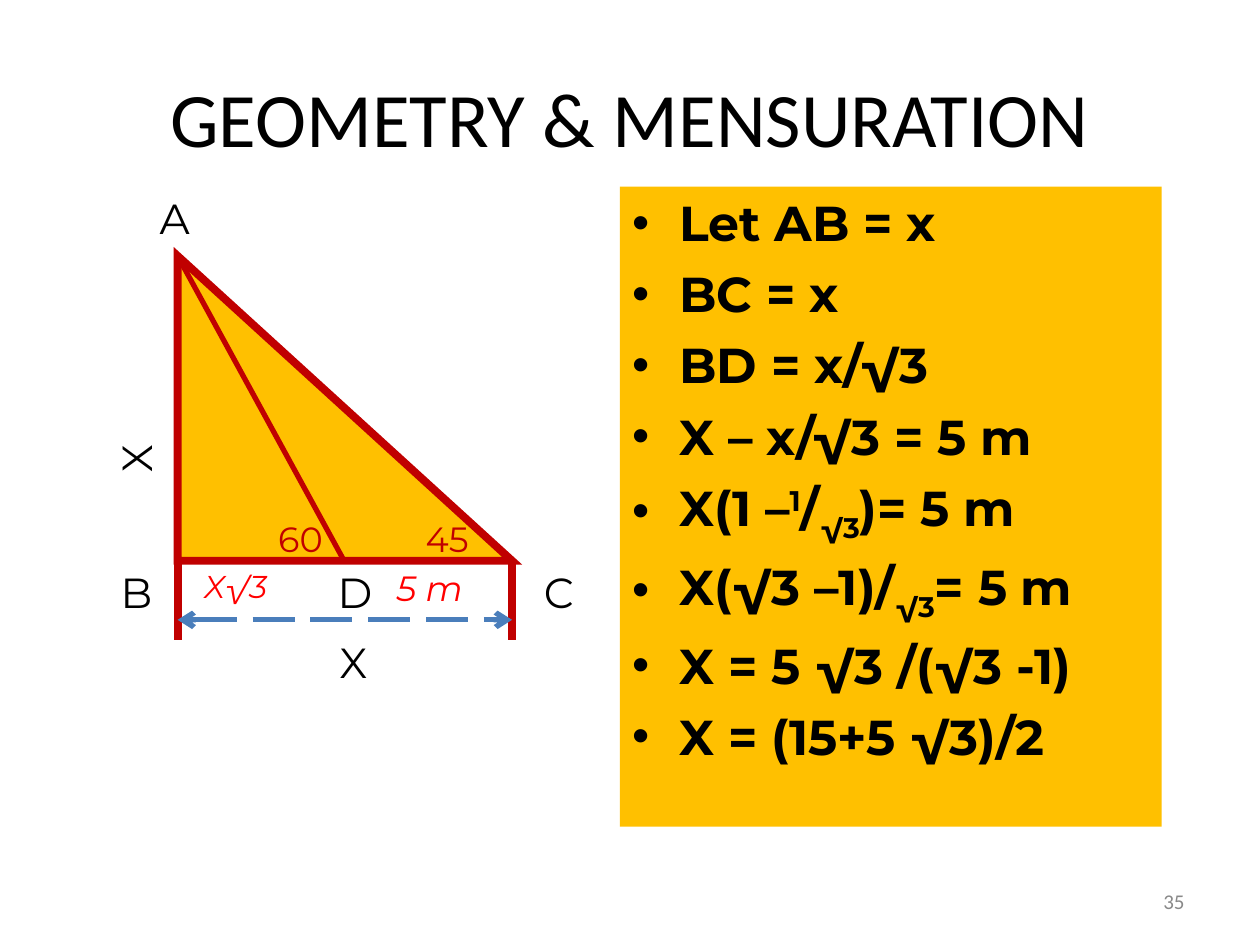
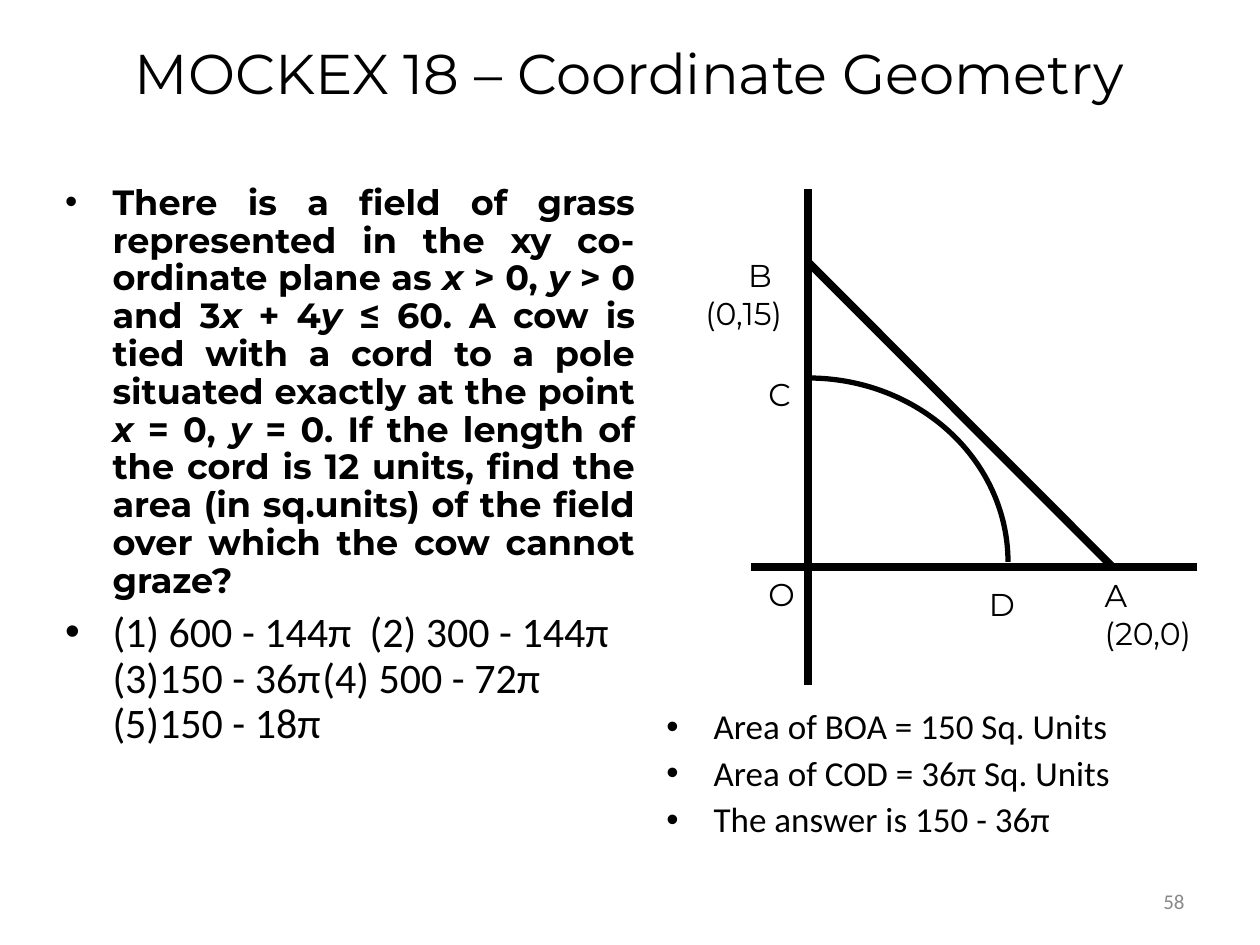
from lxml import etree
from pptx import Presentation
from pptx import util as u
from pptx.dml import color
from pptx.enum import dml, shapes, text
from pptx.oxml import ns

COLORS = {
    "ink": "000000", "gold": "FFC000", "crimson": "C00000",
    "red": "FF0000", "blue": "4A7EBB", "grey": "898989",
}
HEADING, BODY = "Calibri", "Montserrat"
INDENT = 27
LEFT, CENTER, RIGHT, JUSTIFY = (
    text.PP_ALIGN.LEFT, text.PP_ALIGN.CENTER, text.PP_ALIGN.RIGHT, text.PP_ALIGN.JUSTIFY)
TOP, MIDDLE = text.MSO_ANCHOR.TOP, text.MSO_ANCHOR.MIDDLE


def rgb(name):
    return color.RGBColor.from_string(COLORS[name])


def child(parent, tag, **attributes):
    return etree.SubElement(parent, ns.qn(tag), attributes)


def points(*lengths):
    return [u.Pt(length) for length in lengths]


# Text
def add_box(page, place, anchor=TOP, fill=None):
    box = page.shapes.add_textbox(*points(*place))
    frame = box.text_frame
    frame.word_wrap = True
    frame.vertical_anchor = anchor
    if fill:
        box.fill.solid()
        box.fill.fore_color.rgb = rgb(fill)
    return box


def add_para(box, content, size, font=BODY, ink="ink", align=LEFT, bold=False,
             italic=False, bullet=False, before=0, spacing=None, indent=0, tabs=()):
    """Content is a string, or a list of strings and (string, style) pairs."""
    frame = box.text_frame
    first = not frame.paragraphs[0].runs
    para = frame.paragraphs[0] if first else frame.add_paragraph()
    props = para._p.get_or_add_pPr()
    if bullet:
        props.set("marL", str(u.Pt(INDENT)))
        props.set("indent", str(-u.Pt(INDENT)))
        child(child(props, "a:buClr"), "a:srgbClr", val=COLORS[ink])
        child(props, "a:buFont", typeface="Arial")
        child(props, "a:buChar", char="•")
    elif indent:
        props.set("marL", str(u.Pt(indent)))
    if tabs:
        stops = child(props, "a:tabLst")
        for stop in tabs:
            child(stops, "a:tab", pos=str(u.Pt(stop)), algn="l")
    para.alignment = align
    para.space_before = u.Pt(0 if first else before)
    if spacing:
        para.line_spacing = spacing
    para.font.name, para.font.size = font, u.Pt(size)
    para.font.bold, para.font.italic = bold, italic
    para.font.color.rgb = rgb(ink)
    for part in [content] if isinstance(content, str) else content:
        words, style = (part, None) if isinstance(part, str) else part
        if style == "break":
            para.add_line_break()
        span = para.add_run()
        span.text = words
        if style == "italic":
            span.font.italic = True
        elif style in ("super", "sub"):
            raised = "30000" if style == "super" else "-25000"
            span._r.get_or_add_rPr().set("baseline", raised)
    return para


def add_label(page, words, place, size, anchor=TOP, rotation=0, **style):
    box = add_box(page, place, anchor)
    box.rotation = rotation
    add_para(box, words, size, **style)


# Lines and shapes
def set_line(shape, ink, width):
    shape.line.color.rgb = rgb(ink)
    shape.line.width = u.Pt(width)


def add_line(page, start, end, ink, width, arrows=False):
    line = page.shapes.add_connector(shapes.MSO_CONNECTOR.STRAIGHT, *points(*start, *end))
    set_line(line, ink, width)
    child(line._element.spPr, "a:effectLst")
    if arrows:
        line.line.dash_style = dml.MSO_LINE.LONG_DASH
        for tip in ("a:headEnd", "a:tailEnd"):
            child(line.line._get_or_add_ln(), tip, type="arrow")


def add_outline(page, kind, place, ink, width, fill=None):
    shape = page.shapes.add_shape(kind, *points(*place))
    shape.shadow.inherit = False
    if fill:
        shape.fill.solid()
        shape.fill.fore_color.rgb = rgb(fill)
    else:
        shape.fill.background()
    set_line(shape, ink, width)
    child(shape.line._get_or_add_ln(), "a:miter", lim="800000")


# Parts that both slides share
def add_page(deck, title, number, title_height, title_size, title_font):
    page = deck.slides.add_slide(deck.slide_layouts[6])
    add_label(page, title, (36, 21.6, 648, title_height), title_size, MIDDLE,
              font=title_font, align=CENTER)
    add_label(page, str(number), (516, 500.4, 168, 28.8), 12, MIDDLE,
              font=HEADING, ink="grey", align=RIGHT)
    return page


def add_triangle_page(deck):
    page = add_page(deck, "GEOMETRY & MENSURATION", 35, 90, 44, HEADING)

    # Worked solution
    panel = add_box(page, (354.2, 106.6, 309.6, 365.8), fill="gold")
    steps = [
        "Let AB = x", "BC = x", "BD = x/√3", "X – x/√3 = 5 m",
        ["X(1 –", ("1", "super"), "/", ("√3", "sub"), ")= 5 m"],
        ["X(√3 –1)/", ("√3", "sub"), "= 5 m"],
        "X = 5 √3 /(√3 -1)", "X = (15+5 √3)/2",
    ]
    for step in steps:
        add_para(panel, step, 28, bold=True, bullet=True, before=7)

    # Triangle ABC with the line AD
    left, top, right, base = 101.5, 146.2, 292.6, 320.4
    add_outline(page, shapes.MSO_SHAPE.RIGHT_TRIANGLE,
                (left, top, right - left, base - top), "crimson", 4.5, "gold")
    add_line(page, (left, top), (196.6, base), "crimson", 3)

    # Dimension of the base
    for x in (left, right):
        add_line(page, (x, base), (x, 365.8), "crimson", 4.5)
    add_line(page, (left, 354.2), (right, 354.2), "blue", 3, arrows=True)

    # Corners, sides and angles
    for corner, x, y in (("A", 84.2, 106.6), ("B", 61.9, base),
                         ("C", 303.8, base), ("D", 185.8, base)):
        add_label(page, corner, (x, y, 28, 33.8), 24, align=CENTER)
    for x, y, rotation in ((57.6, 241.9, 270), (180, 360, 0)):
        add_label(page, "X", (x, y, 43.9, 40.3), 24, rotation=rotation, align=CENTER)
    for angle, x in (("60", 151.9), ("45", 236.2)):
        add_label(page, angle, (x, 292.3, 45, 39.6), 20, ink="crimson")
    add_label(page, "5 m", (219.6, base, 73.4, 33.8), 20, ink="red", italic=True)
    add_label(page, "X√3", (106.6, base, 56.2, 28), 18, ink="red", italic=True,
              align=CENTER)


def add_field_page(deck):
    page = add_page(deck, "MOCKEX 18 – Coordinate Geometry", 58, 39.6, 32, BODY)

    # Question and choices
    question = add_box(page, (30.2, 102.2, 339.8, 368.6))
    x, y = ("x ", "italic"), ("y ", "italic")
    add_para(question, [
        "There is a field of grass represented in the xy co-ordinate plane as ",
        x, "> 0, ", y, "> 0 and 3", x, "+ 4", y,
        "≤ 60. A cow is tied with a cord to a pole situated exactly at the point ",
        x, "= 0, ", y,
        "= 0. If the length of the cord is 12 units, find the area (in sq.units) "
        "of the field over which the cow cannot graze?",
    ], 20, align=JUSTIFY, bold=True, bullet=True, spacing=0.9)
    add_para(question, [
        "(1) 600 - 144π\t(2) 300 - 144π",
        ("(3)150 - 36π\t(4) 500 - 72π", "break"),
        ("(5)150 - 18π", "break"),
    ], 24, font=HEADING, bullet=True, before=6, spacing=0.9, tabs=(147, 174))

    # Axes, the line AB and the arc CD
    axis_x, axis_y = 461.8, 324
    add_line(page, (axis_x, 108), (axis_x, 391.7), "ink", 4.5)
    add_line(page, (684, axis_y), (429.1, axis_y), "ink", 4.5)
    add_line(page, (axis_x, 149.8), (635.8, axis_y), "ink", 4.5)
    add_outline(page, shapes.MSO_SHAPE.ARC, (348, 216, 228, 210.2), "ink", 3)

    # Points
    for name, left, top in (("C", 432, 210.2), ("D", 558, 329.8), ("O", 432, 324)):
        add_label(page, name, (left, top, 30.2, 30.2), 18, MIDDLE)
    for name, pair, place, indent in (
            ("B", "(0,15)", (396, 138.2, 84.2, 59.8), 24.5),
            ("A", "(20,0)", (624.2, 324, 77.8, 54), 0)):
        box = add_box(page, place, MIDDLE)
        add_para(box, name, 18, indent=indent)
        add_para(box, pair, 18)

    # Answer
    answer = add_box(page, (373.7, 401.8, 303.8, 84.2))
    for step in ("Area of BOA = 150 Sq. Units", "Area of COD = 36π Sq. Units",
                 "The answer is 150 - 36π"):
        add_para(answer, step, 20, font=HEADING, bullet=True, before=5, spacing=0.9)


def main():
    deck = Presentation()
    deck.slide_width, deck.slide_height = points(720, 540)
    add_triangle_page(deck)
    add_field_page(deck)
    deck.save("out.pptx")


if __name__ == "__main__":
    main()
